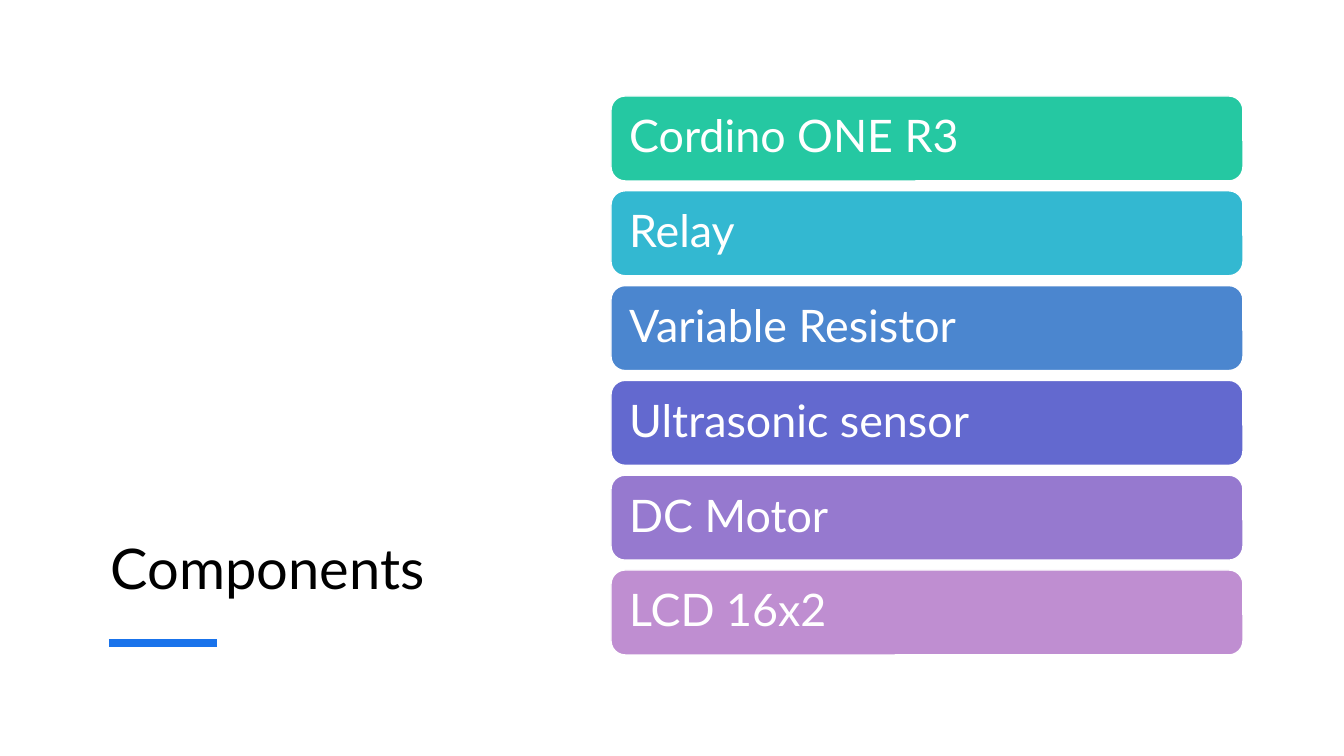
from lxml.etree import SubElement
from pptx import Presentation
from pptx.dml.color import RGBColor
from pptx.enum.shapes import MSO_CONNECTOR, MSO_SHAPE
from pptx.enum.text import MSO_ANCHOR, PP_ALIGN
from pptx.oxml.ns import qn
from pptx.util import Emu, Pt

WHITE = RGBColor(0xFF, 0xFF, 0xFF)
BLACK = RGBColor(0x00, 0x00, 0x00)
ACCENT = RGBColor(0x19, 0x73, 0xEB)
COMPONENTS = [
    ("Cordino ONE R3", RGBColor(0x25, 0xC8, 0xA2)),
    ("Relay", RGBColor(0x33, 0xB8, 0xD1)),
    ("Variable Resistor", RGBColor(0x4B, 0x86, 0xCF)),
    ("Ultrasonic sensor", RGBColor(0x63, 0x69, 0xCF)),
    ("DC Motor", RGBColor(0x96, 0x79, 0xCF)),
    ("LCD 16x2", RGBColor(0xBF, 0x8E, 0xD1)),
]
LIST_TOP, LIST_BOTTOM, BAR_HEIGHT = 96, 655, 85


def px(count):
    return Emu(round(count * 914400 / 100.8))


def write(shape, text, *, size, color, anchor, inset=10, spacing=1.0):
    frame = shape.text_frame
    frame.word_wrap = True
    frame.vertical_anchor = anchor
    frame.margin_left = frame.margin_right = px(inset)
    paragraph = frame.paragraphs[0]
    paragraph.text = text
    paragraph.alignment = PP_ALIGN.LEFT
    paragraph.line_spacing = spacing
    font = paragraph.runs[0].font
    font.name = "Lato"
    font.size = Pt(size)
    font.color.rgb = color


presentation = Presentation()
presentation.slide_width = px(1344)
presentation.slide_height = px(756)
slide = presentation.slides.add_slide(presentation.slide_layouts[5])

title = slide.shapes.title
title.left, title.top, title.width, title.height = px(101), px(101), px(391), px(505)
write(title, "Components", size=40, color=BLACK, anchor=MSO_ANCHOR.BOTTOM)

underline = slide.shapes.add_connector(
    MSO_CONNECTOR.STRAIGHT, px(109), px(643), px(217), px(643))
underline.line.color.rgb = ACCENT
underline.line.width = Pt(6)
SubElement(underline._element.spPr, qn("a:effectLst"))

pitch = (LIST_BOTTOM - LIST_TOP - BAR_HEIGHT) / (len(COMPONENTS) - 1)
for row, (component, color) in enumerate(COMPONENTS):
    bar = slide.shapes.add_shape(
        MSO_SHAPE.ROUNDED_RECTANGLE,
        px(611), px(LIST_TOP + row * pitch), px(632), px(BAR_HEIGHT))
    bar.shadow.inherit = False
    bar.fill.solid()
    bar.fill.fore_color.rgb = color
    bar.line.color.rgb = WHITE
    bar.line.width = Pt(1)
    write(bar, component, size=32, color=WHITE, anchor=MSO_ANCHOR.MIDDLE,
          inset=14, spacing=0.9)

presentation.save("out.pptx")
